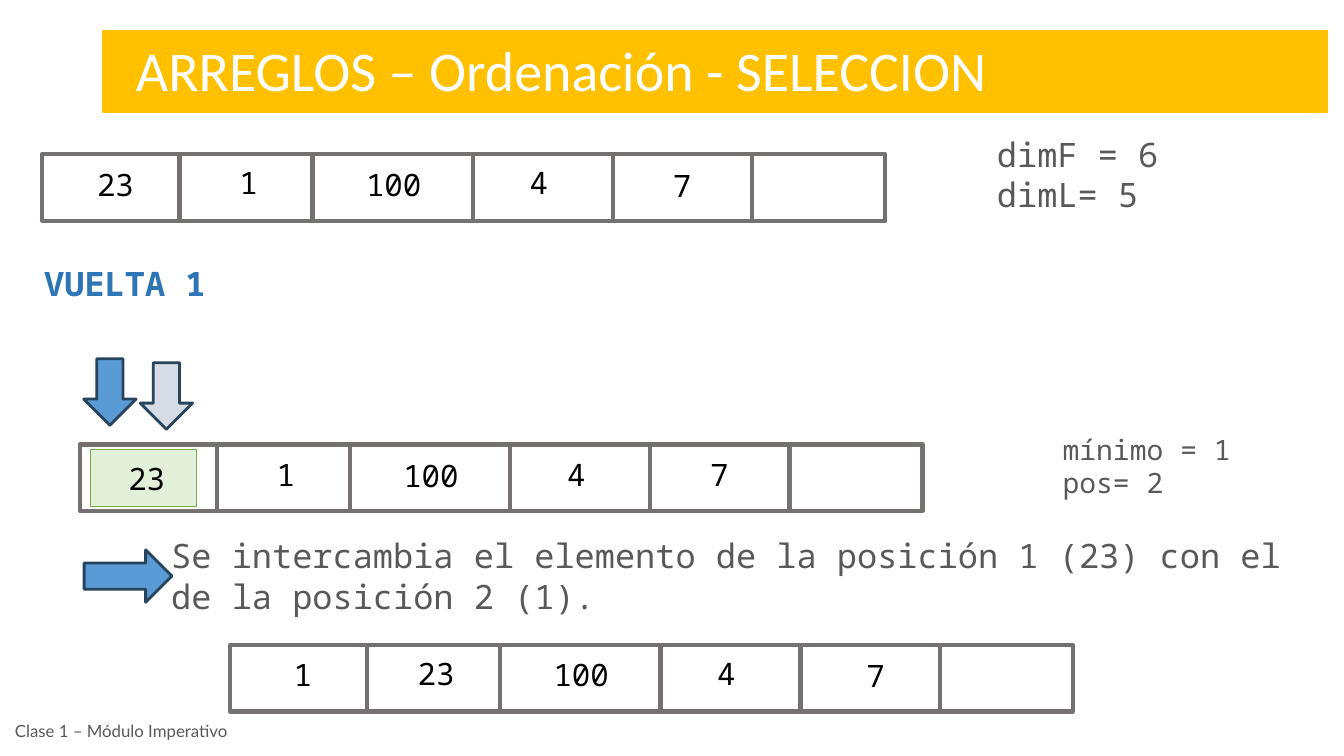
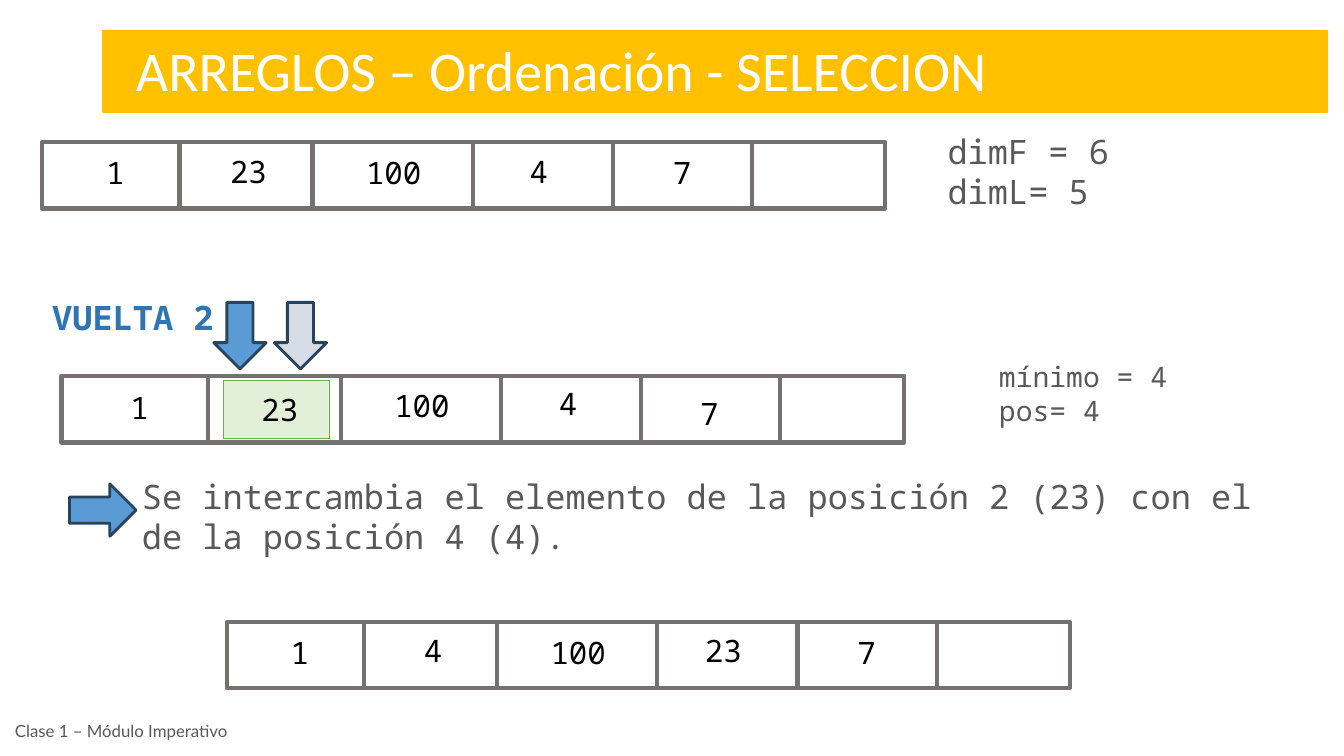
from dataclasses import dataclass

from lxml.etree import SubElement
from pptx import Presentation
from pptx.dml.color import RGBColor
from pptx.enum.shapes import MSO_CONNECTOR as Connector, MSO_SHAPE as Preset
from pptx.enum.text import MSO_ANCHOR as Anchor, MSO_AUTO_SIZE as AutoSize, PP_ALIGN as Align
from pptx.oxml.ns import qn
from pptx.util import Pt

PX = 9144


@dataclass(frozen=True)
class Theme:
    band: RGBColor = RGBColor.from_string("FFC000")
    title: RGBColor = RGBColor.from_string("FFFFFF")
    body: RGBColor = RGBColor.from_string("595959")
    value: RGBColor = RGBColor.from_string("000000")
    heading: RGBColor = RGBColor.from_string("2E75B6")
    grid: RGBColor = RGBColor.from_string("767171")
    mark: RGBColor = RGBColor.from_string("E2F0D9")
    mark_edge: RGBColor = RGBColor.from_string("70AD47")
    arrow: RGBColor = RGBColor.from_string("5B9BD5")
    pale_arrow: RGBColor = RGBColor.from_string("D6DCE5")
    arrow_edge: RGBColor = RGBColor.from_string("28445D")
    mono: str = "Noto Sans Mono"
    title_font: str = "Calibri"
    footer_font: str = "Lato"
    title_size: int = 40
    body_size: int = 24
    value_size: int = 22
    note_size: int = 20
    footer_size: int = 12


theme = Theme()


def put_text(shapes, text, place, *, size=theme.body_size, font=theme.mono, color=theme.body,
             bold=False, align=Align.LEFT, anchor=Anchor.TOP, fit=AutoSize.SHAPE_TO_FIT_TEXT):
    box = shapes.add_textbox(*(n * PX for n in place))
    frame = box.text_frame
    frame.word_wrap = True
    frame.auto_size = fit
    frame.vertical_anchor = anchor
    for index, line in enumerate(text.splitlines()):
        para = frame.add_paragraph() if index else frame.paragraphs[0]
        para.alignment = align
        span = para.add_run()
        span.text = line
        span.font.size = Pt(size)
        span.font.name = font
        span.font.bold = bold
        span.font.color.rgb = color


def put_shape(shapes, preset, place, *, fill=None, line, weight, rotation=0):
    shape = shapes.add_shape(preset, *(n * PX for n in place))
    shape.shadow.inherit = False
    shape.rotation = rotation
    if fill is None:
        shape.fill.background()
    else:
        shape.fill.solid()
        shape.fill.fore_color.rgb = fill
    shape.line.color.rgb = line
    shape.line.width = Pt(weight)


ROW_WIDTH, ROW_HEIGHT = 836, 66
DIVIDERS = (136, 268, 427, 566, 704)
VALUE_SLOTS = ((22, 101), (154, 101), (297, 103), (440, 105), (582, 105))

rounds = [
    {
        "heading": ("VUELTA 1", (34, 256, 230, 50)),
        "limits": (979, 128, 230, 91),
        "minimum": ("mínimo = 1\npos= 2", (1044, 424, 230, 77)),
        "swap": ("Se intercambia el elemento de la posición 1 (23) con el de la posición 2 (1).",
                 (160, 526, 1145, 91)),
        "arrows": [((83, 356, 52, 66), theme.arrow, 0),
                   ((101, 528, 52, 87), theme.arrow, 270),
                   ((139, 360, 52, 66), theme.pale_arrow, 0)],
        "rows": [
            {"left": 42, "top": 153, "values": (23, 1, 100, 4, 7), "drops": (7, 5, 7, 5, 8)},
            {"left": 79, "top": 441, "values": (23, 1, 100, 4, 7), "drops": (10, 6, 7, 6, 6),
             "shifts": (-6, 0, 0, 0, 0), "mark": (90, 446, 105, 57)},
            {"left": 228, "top": 640, "values": (1, 23, 100, 4, 7), "drops": (6, 5, 6, 5, 7),
             "shifts": (0, 0, 0, 0, 6)},
        ],
    },
    {
        "heading": ("VUELTA 2", (42, 290, 230, 50)),
        "limits": (930, 125, 230, 91),
        "minimum": ("mínimo = 4\npos= 4", (981, 352, 230, 77)),
        "swap": ("Se intercambia el elemento de la posición 2 (23) con el de la posición 4 (4).",
                 (131, 467, 1143, 91)),
        "arrows": [((212, 300, 52, 66), theme.arrow, 0),
                   ((76, 473, 52, 66), theme.arrow, 270),
                   ((272, 300, 52, 66), theme.pale_arrow, 0)],
        "rows": [
            {"left": 42, "top": 141, "values": (1, 23, 100, 4, 7), "drops": (7, 6, 7, 6, 7)},
            {"left": 61, "top": 373, "values": (1, 23, 100, 4, 7), "drops": (8, 10, 6, 4, 14),
             "shifts": (-4, 3, 0, 1, -1), "inset": 9, "mark": (222, 378, 105, 57)},
            {"left": 225, "top": 617, "values": (1, 4, 100, 23, 7), "drops": (7, 5, 7, 5, 7)},
        ],
    },
]

deck = Presentation()
deck.slide_width = 1333 * PX
deck.slide_height = 750 * PX

for step in rounds:
    page = deck.slides.add_slide(deck.slide_layouts[6])
    put_text(page.shapes, "Clase 1 – Módulo Imperativo", (5, 705, 233, 40),
             size=theme.footer_size, font=theme.footer_font, anchor=Anchor.MIDDLE, fit=AutoSize.NONE)
    put_shape(page.shapes, Preset.RECTANGLE, (102, 30, 1214, 81),
              fill=theme.band, line=theme.band, weight=1)
    put_text(page.shapes, "ARREGLOS – Ordenación - SELECCION", (125, 30, 935, 77),
             size=theme.title_size, font=theme.title_font, color=theme.title)

    for row in step["rows"]:
        cells = page.shapes.add_group_shape().shapes
        left, top = row["left"], row["top"]
        put_shape(cells, Preset.RECTANGLE, (left, top, ROW_WIDTH, ROW_HEIGHT),
                  line=theme.grid, weight=3)
        if "mark" in row:
            put_shape(cells, Preset.RECTANGLE, row["mark"],
                      fill=theme.mark, line=theme.mark_edge, weight=0.75)
        start = left + row.get("inset", 0)
        for offset in DIVIDERS:
            x = (start + offset) * PX
            divider = cells.add_connector(Connector.STRAIGHT, x, top * PX, x, (top + ROW_HEIGHT) * PX)
            divider.line.color.rgb = theme.grid
            divider.line.width = Pt(3)
            SubElement(divider.element.spPr, qn("a:effectLst"))
        shifts = row.get("shifts", (0,) * len(VALUE_SLOTS))
        for value, (offset, width), drop, shift in zip(row["values"], VALUE_SLOTS, row["drops"], shifts):
            put_text(cells, str(value), (start + offset + shift, top + drop, width, 47),
                     size=theme.value_size, color=theme.value, align=Align.CENTER)

    put_text(page.shapes, "dimF = 6\ndimL= 5", step["limits"])
    put_text(page.shapes, *step["heading"], color=theme.heading, bold=True)
    put_text(page.shapes, *step["minimum"], size=theme.note_size)
    put_text(page.shapes, *step["swap"])
    for place, fill, rotation in step["arrows"]:
        put_shape(page.shapes, Preset.DOWN_ARROW, place, fill=fill,
                  line=theme.arrow_edge, weight=2, rotation=rotation)

deck.save("out.pptx")
